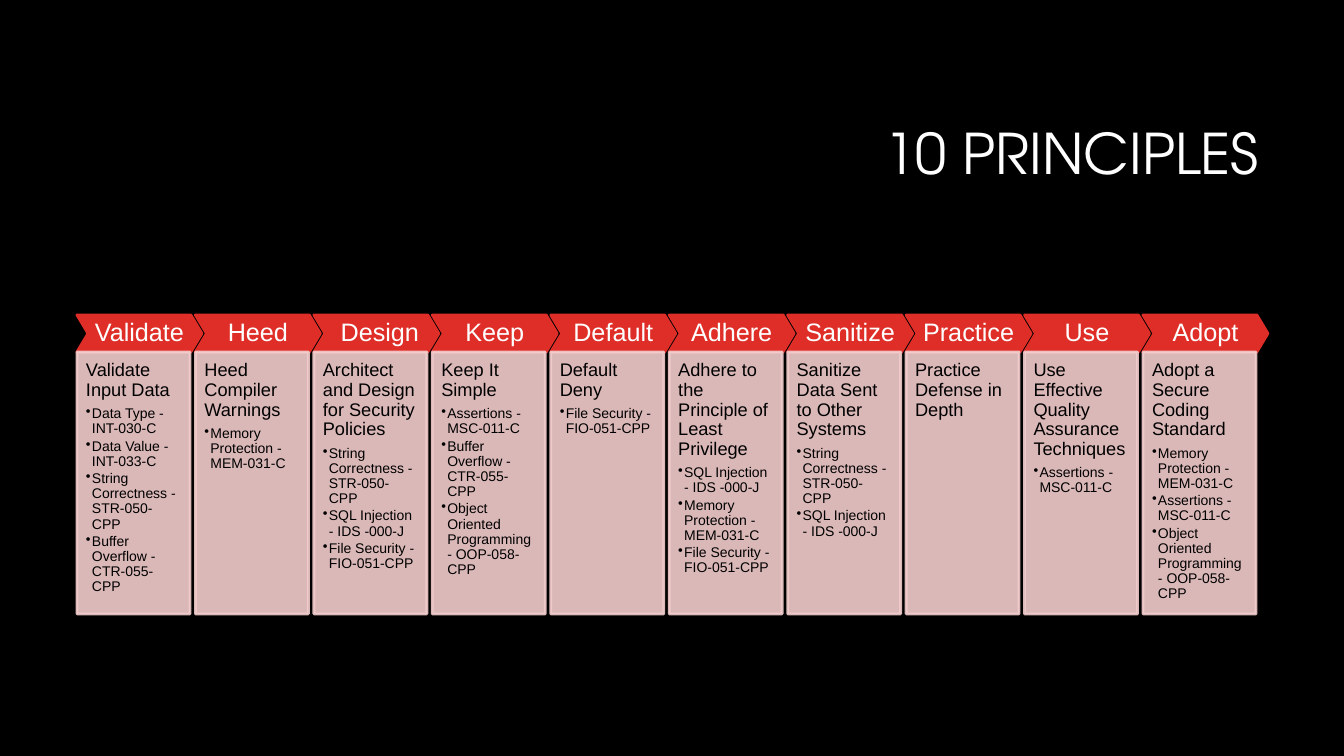
from lxml import etree
from pptx import Presentation
from pptx.dml.color import RGBColor
from pptx.enum.shapes import MSO_SHAPE
from pptx.enum.text import MSO_ANCHOR, MSO_AUTO_SIZE, PP_ALIGN
from pptx.oxml.ns import qn
from pptx.util import Pt

CHEVRON, RECTANGLE = MSO_SHAPE.CHEVRON, MSO_SHAPE.RECTANGLE
TOP, MIDDLE = MSO_ANCHOR.TOP, MSO_ANCHOR.MIDDLE
LEFT, CENTER, RIGHT = PP_ALIGN.LEFT, PP_ALIGN.CENTER, PP_ALIGN.RIGHT

PAGE_WIDTH, PAGE_HEIGHT = 1344, 756
EMU_PER_PX = 12192000 / PAGE_WIDTH

BLACK, WHITE, RED, PINK = "000000", "FFFFFF", "DF2E28", "F3CDCD"
BODY_FONT, TITLE_FONT = "Arial", "TeX Gyre Adventor"

# Rules that several principles share
ASSERTIONS = "Assertions - MSC-011-C"
BUFFER = "Buffer Overflow - CTR-055-CPP"
FILES = "File Security - FIO-051-CPP"
MEMORY = "Memory Protection - MEM-031-C"
OBJECTS = "Object Oriented Programming - OOP-058-CPP"
SQL = "SQL Injection - IDS -000-J"
STRINGS = "String Correctness - STR-050-CPP"

# Keyword, principle, rules
PRINCIPLES = [
    ("Validate", "Validate Input Data",
     ["Data Type - INT-030-C", "Data Value - INT-033-C", STRINGS, BUFFER]),
    ("Heed", "Heed Compiler Warnings", [MEMORY]),
    (" Design", "Architect and Design for Security Policies",
     [STRINGS, SQL, FILES]),
    ("Keep", "Keep It Simple", [ASSERTIONS, BUFFER, OBJECTS]),
    ("Default", "Default Deny", [FILES]),
    ("Adhere", "Adhere to the Principle of Least Privilege",
     [SQL, MEMORY, FILES]),
    ("Sanitize", "Sanitize Data Sent to Other Systems", [STRINGS, SQL]),
    ("Practice", "Practice Defense in Depth", []),
    ("Use", "Use Effective Quality Assurance Techniques", [ASSERTIONS]),
    ("Adopt", "Adopt a Secure Coding Standard",
     [MEMORY, ASSERTIONS, OBJECTS]),
]


def px(length):
    return round(length * EMU_PER_PX)


def color(value):
    return RGBColor.from_string(value)


def set_frame(frame, anchor, insets):
    frame.word_wrap = True
    frame.auto_size = MSO_AUTO_SIZE.NONE
    frame.vertical_anchor = anchor
    (frame.margin_left, frame.margin_top,
     frame.margin_right, frame.margin_bottom) = map(px, insets)


def write(para, text, size, ink, align=LEFT, font=BODY_FONT, after=0):
    para.text = text
    para.alignment = align
    para.line_spacing = 0.9
    para.space_before = Pt(0)
    para.space_after = Pt(after)
    para.font.name = font
    para.font.size = Pt(size)
    para.font.color.rgb = color(ink)


def add_bullet(para):
    para.level = 1
    properties = para._p.get_or_add_pPr()
    properties.set("marL", str(px(6)))
    properties.set("indent", str(px(-6)))
    bullet = etree.Element(qn("a:buChar"), char="•")
    properties.find(qn("a:defRPr")).addprevious(bullet)


def add_block(page, kind, box, paint, opacity=100):
    block = page.shapes.add_shape(kind, *map(px, box))
    block.shadow.inherit = False
    block.fill.solid()
    block.fill.fore_color.rgb = color(paint)
    block.line.color.rgb = color(paint)
    block.line.width = Pt(2)
    if opacity < 100:
        for tint in block._element.spPr.iter(qn("a:srgbClr")):
            etree.SubElement(tint, qn("a:alpha"), val=str(opacity * 1000))
    return block


def add_title(page, box, text):
    title = page.shapes.title
    title.left, title.top, title.width, title.height = map(px, box)
    set_frame(title.text_frame, MIDDLE, (10, 5, 10, 5))
    write(title.text_frame.paragraphs[0], text, 40, WHITE, RIGHT, TITLE_FONT)


def add_header(page, box, keyword):
    header = add_block(page, CHEVRON, box, RED)
    header.adjustments[0] = 0.3
    set_frame(header.text_frame, MIDDLE, (5, 5, 5, 5))
    write(header.text_frame.paragraphs[0], keyword, 18, WHITE, CENTER)


def add_panel(page, box, principle, rules):
    panel = add_block(page, RECTANGLE, box, PINK, opacity=90)
    frame = panel.text_frame
    set_frame(frame, TOP, (9, 9, 9, 18))
    write(frame.paragraphs[0], principle, 13, BLACK, after=4.5)
    for rule in rules:
        para = frame.add_paragraph()
        write(para, rule, 10, BLACK, after=1.5)
        add_bullet(para)


def add_principles(page, box):
    left, top, width, height = box
    header_width, header_height, panel_width = 125, 37, 113
    step = (width - header_width) / (len(PRINCIPLES) - 1)
    for index, (keyword, principle, rules) in enumerate(PRINCIPLES):
        x = left + index * step
        add_header(page, (x, top, header_width, header_height), keyword)
        add_panel(page, (x, top + header_height, panel_width,
                         height - header_height), principle, rules)


def main():
    deck = Presentation()
    deck.slide_width, deck.slide_height = px(PAGE_WIDTH), px(PAGE_HEIGHT)
    page = deck.slides.add_slide(deck.slide_layouts.get_by_name("Title Only"))
    page.background.fill.solid()
    page.background.fill.fore_color.rgb = color(BLACK)
    add_title(page, (320, 85, 949, 142), "10 PRINCIPLES")
    add_principles(page, (77, 315, 1191, 299))
    deck.save("out.pptx")


if __name__ == "__main__":
    main()
